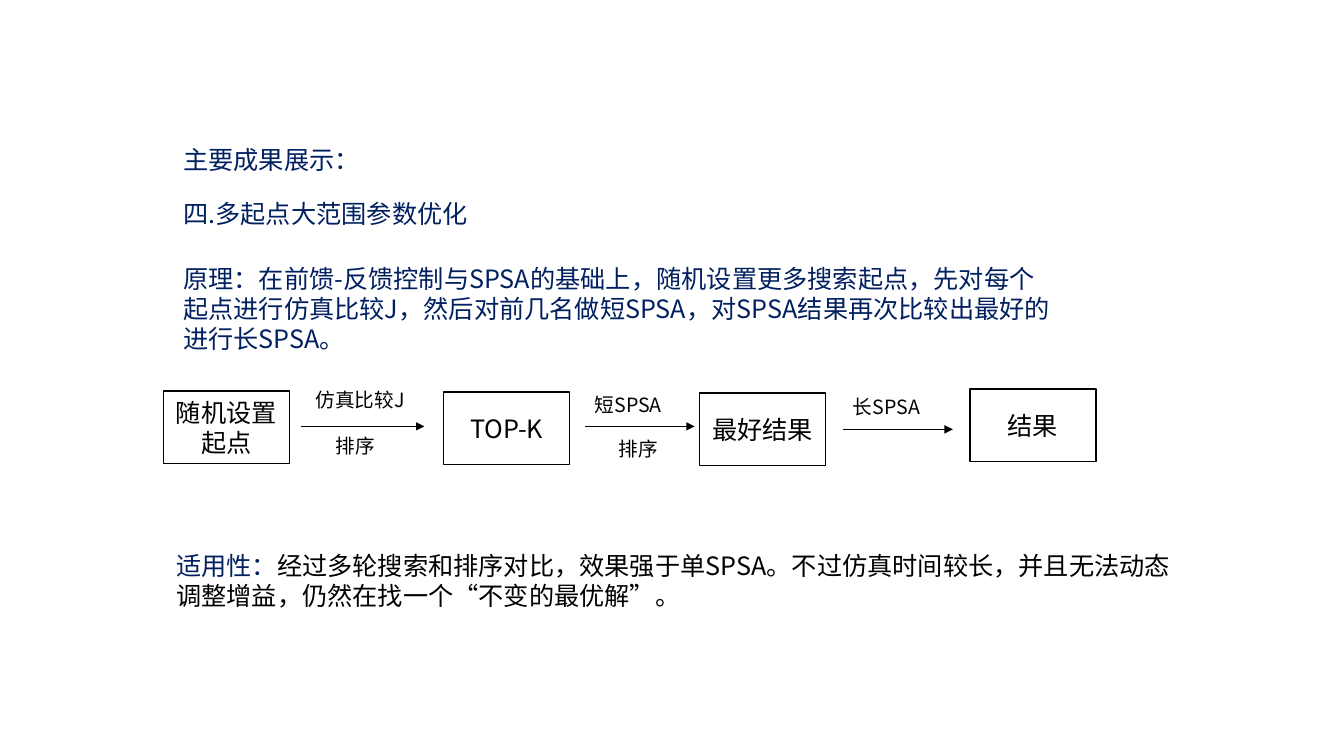
from dataclasses import dataclass

from lxml.etree import SubElement
from pptx import Presentation
from pptx.dml.color import RGBColor
from pptx.enum.shapes import MSO_CONNECTOR, MSO_SHAPE
from pptx.enum.text import MSO_ANCHOR, MSO_AUTO_SIZE, PP_ALIGN
from pptx.oxml.ns import qn
from pptx.shapes.autoshape import Shape
from pptx.slide import Slide
from pptx.util import Inches, Pt

NAVY = RGBColor(0x00, 0x20, 0x60)
BLACK = RGBColor(0x00, 0x00, 0x00)
SANS = "Noto Sans CJK SC"
LATIN = "Arial"
BOX_WIDTH, BOX_HEIGHT = 1.25, 0.72
LABEL_HEIGHT = 0.34


@dataclass(frozen=True)
class Note:
    text: str
    left: float
    top: float
    width: float
    height: float
    tail: str = ""


@dataclass(frozen=True)
class Step:
    text: str
    left: float
    top: float


@dataclass(frozen=True)
class Arrow:
    left: float
    right: float
    top: float


@dataclass(frozen=True)
class Label:
    text: str
    left: float
    top: float
    width: float
    font: str = SANS


NOTES = [
    Note("主要成果展示：", 1.72, 1.38, 1.97, 0.4),
    Note("四.多起点大范围参数优化", 1.72, 1.92, 3.05, 0.4),
    Note("原理：在前馈-反馈控制与SPSA的基础上，随机设置更多搜索起点，"
         "先对每个起点进行仿真比较J，然后对前几名做短SPSA，"
         "对SPSA结果再次比较出最好的进行长SPSA。", 1.72, 2.56, 8.87, 1.01),
    Note("适用性：", 1.65, 5.41, 10.07, 0.71,
         "经过多轮搜索和排序对比，效果强于单SPSA。不过仿真时间较长，"
         "并且无法动态调整增益，仍然在找一个“不变的最优解”。"),
]
STEPS = [
    Step("随机设置起点", 1.62, 3.88),
    Step("TOP-K", 4.4, 3.89),
    Step("最好结果", 6.94, 3.9),
    Step("结果", 9.62, 3.86),
]
ARROWS = [
    Arrow(2.99, 4.21, 4.23),
    Arrow(5.8, 6.89, 4.23),
    Arrow(8.36, 9.45, 4.26),
]
LABELS = [
    Label("仿真比较J", 3.03, 3.8, 1.14),
    Label("排序", 3.23, 4.26, 0.61, LATIN),
    Label("短SPSA", 5.8, 3.85, 0.94),
    Label("排序", 6.04, 4.29, 0.61, LATIN),
    Label("长SPSA", 8.36, 3.87, 0.94),
]


def write(shape: Shape, text: str, *, size: float = 18, color: RGBColor = BLACK,
          font: str = SANS, align: PP_ALIGN = PP_ALIGN.LEFT) -> None:
    """Add a run of text to the first paragraph of a shape."""
    frame = shape.text_frame
    frame.word_wrap = True
    line = frame.paragraphs[0]
    line.alignment = align
    run = line.add_run()
    run.text = text
    run.font.size = Pt(size)
    run.font.name = font
    run.font.color.rgb = color
    SubElement(run.font._element, qn("a:ea")).set("typeface", SANS)


def add_text(slide: Slide, left: float, top: float,
             width: float, height: float) -> Shape:
    box = slide.shapes.add_textbox(
        Inches(left), Inches(top), Inches(width), Inches(height))
    box.text_frame.auto_size = MSO_AUTO_SIZE.SHAPE_TO_FIT_TEXT
    return box


def draw_note(slide: Slide, note: Note) -> None:
    box = add_text(slide, note.left, note.top, note.width, note.height)
    write(box, note.text, color=NAVY)
    if note.tail:
        write(box, note.tail)


def draw_step(slide: Slide, step: Step) -> None:
    box = slide.shapes.add_shape(
        MSO_SHAPE.RECTANGLE, Inches(step.left), Inches(step.top),
        Inches(BOX_WIDTH), Inches(BOX_HEIGHT))
    box.shadow.inherit = False
    box.fill.background()
    box.line.color.rgb = BLACK
    box.line.width = Pt(1)
    box.text_frame.vertical_anchor = MSO_ANCHOR.MIDDLE
    write(box, step.text, align=PP_ALIGN.CENTER)


def draw_arrow(slide: Slide, arrow: Arrow) -> None:
    link = slide.shapes.add_connector(
        MSO_CONNECTOR.STRAIGHT, Inches(arrow.left), Inches(arrow.top),
        Inches(arrow.right), Inches(arrow.top))
    link.line.color.rgb = BLACK
    link.line.width = Pt(0.5)
    SubElement(link.line._get_or_add_ln(), qn("a:tailEnd")).set("type", "triangle")
    SubElement(link._element.spPr, qn("a:effectLst"))


def draw_label(slide: Slide, label: Label) -> None:
    box = add_text(slide, label.left, label.top, label.width, LABEL_HEIGHT)
    write(box, label.text, size=14, font=label.font)


def main() -> None:
    deck = Presentation()
    deck.slide_width, deck.slide_height = Inches(13.33), Inches(7.5)
    slide = deck.slides.add_slide(deck.slide_layouts[6])

    # Headings and explanations
    for note in NOTES:
        draw_note(slide, note)

    # Flow chart: boxes, arrows and their labels
    for step in STEPS:
        draw_step(slide, step)
    for arrow in ARROWS:
        draw_arrow(slide, arrow)
    for label in LABELS:
        draw_label(slide, label)

    deck.save("out.pptx")


if __name__ == "__main__":
    main()
